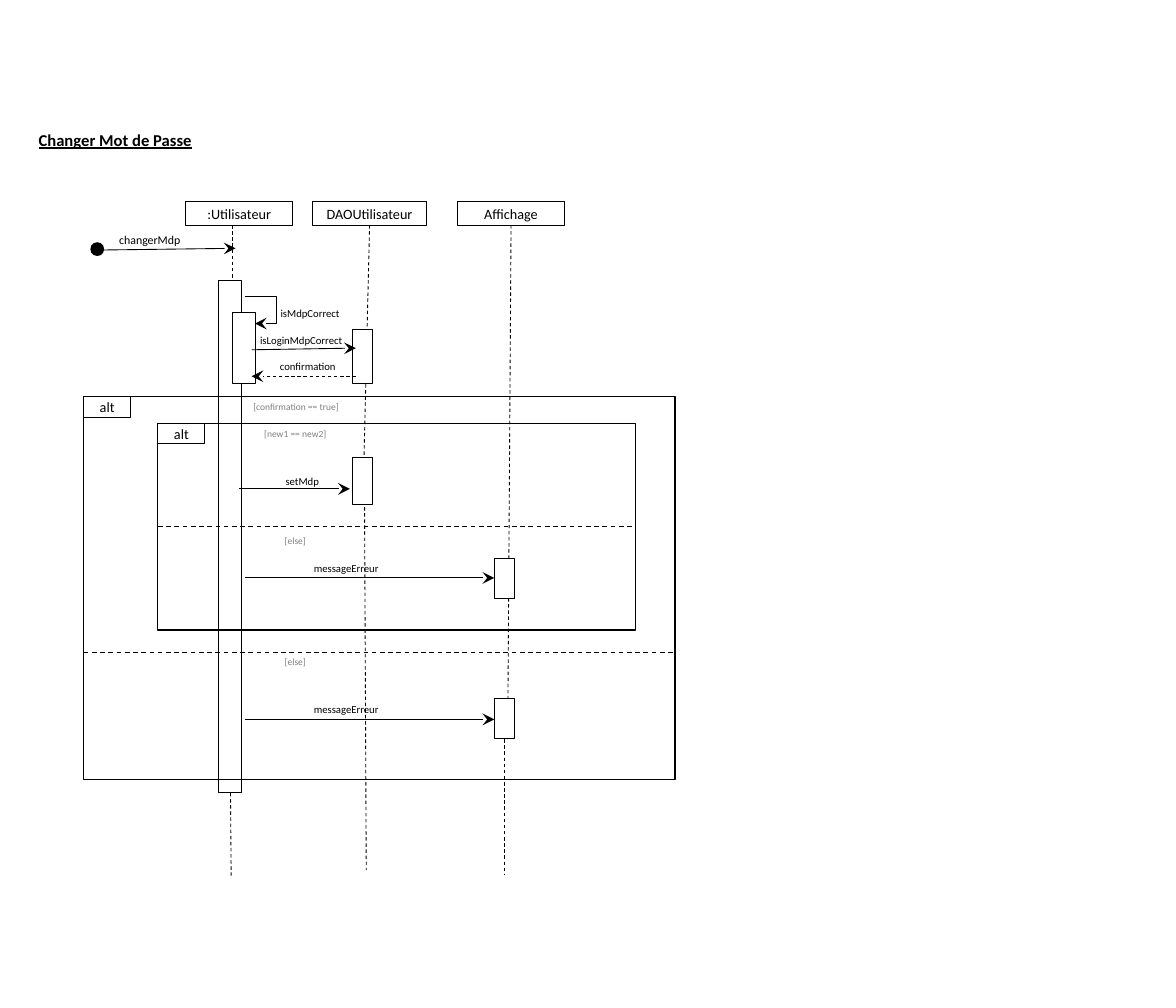
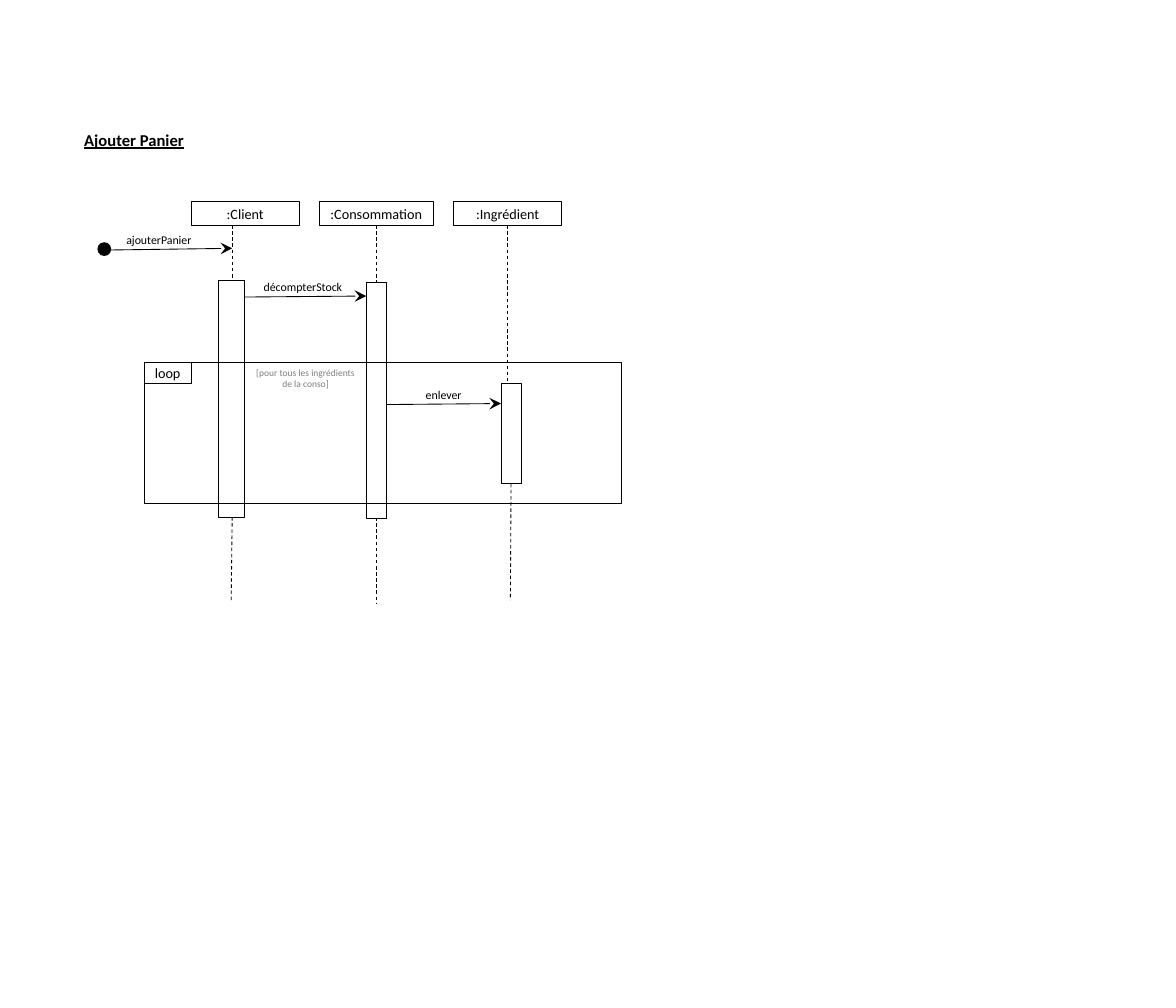
from lxml import etree
from pptx import Presentation
from pptx.dml.color import RGBColor
from pptx.enum.dml import MSO_LINE
from pptx.enum.shapes import MSO_CONNECTOR, MSO_SHAPE
from pptx.enum.text import MSO_ANCHOR, PP_ALIGN
from pptx.oxml.ns import qn
from pptx.util import Cm, Pt

RECTANGLE, OVAL = MSO_SHAPE.RECTANGLE, MSO_SHAPE.OVAL
STRAIGHT, ELBOW = MSO_CONNECTOR.STRAIGHT, MSO_CONNECTOR.ELBOW
LEFT, CENTER = PP_ALIGN.LEFT, PP_ALIGN.CENTER
TOP, MIDDLE = MSO_ANCHOR.TOP, MSO_ANCHOR.MIDDLE
BLACK, WHITE, GREY = (RGBColor.from_string(code) for code in ("000000", "FFFFFF", "7F7F7F"))

# Shared formats
FONT = "Calibri"
TITLE = {"size": Pt(14), "bold": True, "underline": True}
HEADER = {"size": Pt(12)}
GUARD = {"size": Pt(8)}
THIN, THICK = 0.75, 1
HEADER_TOP, HEADER_HEIGHT = 6, 0.7
TAB_WIDTH, TAB_HEIGHT = 1.4, 0.61
DOT_TOP, DOT_SIZE = 7.21, 0.41

# Diagram contents, lengths in centimetres
diagrams = [
    {
        "title": ("Changer Mot de Passe", 0.9, LEFT),
        "headers": [(":Utilisateur", 5.52, 3.2), ("DAOUtilisateur", 9.3, 3.4),
                    ("Affichage", 13.61, 3.2)],
        "lifelines": [(6.91, 6.7, 6.91, 23.2), (11, 6.7, 10.8, 15.01),
                      (15.21, 6.7, 15.11, 22), (10.85, 15.09, 10.9, 25.9),
                      (6.86, 23.6, 6.88, 26.06), (15.01, 22, 15.01, 26.04)],
        "activations": [(6.5, 8.36, 0.7, 15.24), (6.91, 9.3, 0.69, 2.11),
                        (10.49, 9.8, 0.6, 1.6), (10.49, 13.61, 0.6, 1.4),
                        (14.71, 16.61, 0.6, 1.19), (14.71, 20.8, 0.6, 1.19)],
        "frames": [("alt", 2.49, 11.81, 17.6, 11.4, 19.41),
                   ("alt", 4.7, 12.6, 14.22, 6.15, 15.67)],
        "guards": [("[confirmation == true]", 7.29, 11.81, 3.25, 0.61, LEFT),
                   ("[new1 == new2]", 7.29, 12.6, 3, 0.61, CENTER),
                   ("[else]", 7.29, 15.8, 3, 0.61, CENTER),
                   ("[else]", 7.29, 19.41, 3, 0.61, CENTER)],
        "dot": 2.69,
        "calls": [(3.1, 7.44, 7.01, 7.39), (7.49, 10.41, 10.59, 10.36),
                  (7.11, 14.55, 10.41, 14.55), (7.29, 17.2, 14.71, 17.2),
                  (7.29, 21.41, 14.71, 21.41)],
        "replies": [(10.59, 11.2, 7.49, 11.2)],
        "self_calls": [(7.29, 8.81, 7.59, 9.63, 8.23)],
        "labels": [("changerMdp", 3.3, 6.8, 2.45, 10, LEFT),
                   ("isMdpCorrect", 8.1, 9, 2.4, 9, LEFT),
                   ("isLoginMdpCorrect", 7.49, 9.8, 3.1, 9, LEFT),
                   ("confirmation", 8.08, 10.59, 2.3, 9, LEFT),
                   ("setMdp", 7.7, 14, 2.59, 9, CENTER),
                   ("messageErreur", 9.09, 16.61, 2.55, 9, LEFT),
                   ("messageErreur", 9.09, 20.8, 2.55, 9, LEFT)],
    },
    {
        "title": ("Ajouter Panier", 1.09, CENTER),
        "headers": [(":Client", 5.7, 3.2), (":Consommation", 9.5, 3.4),
                    (":Ingrédient", 13.51, 3.2)],
        "lifelines": [(6.91, 6.7, 6.91, 14.6), (11.2, 6.7, 11.2, 15.39),
                      (15.11, 6.7, 15.11, 12.19), (6.91, 15.39, 6.88, 17.93),
                      (11.2, 15.39, 11.2, 17.96), (15.21, 14.4, 15.19, 17.86)],
        "activations": [(6.5, 8.36, 0.79, 7.04), (10.9, 8.41, 0.6, 7.01),
                        (14.91, 11.4, 0.6, 3)],
        "frames": [("loop", 4.29, 10.8, 14.22, 4.19, None)],
        "guards": [("[pour tous les ingrédients de la conso]",
                    7.29, 10.8, 3.61, 0.94, CENTER)],
        "dot": 2.9,
        "calls": [(3.3, 7.44, 6.91, 7.39), (7.29, 8.84, 10.9, 8.81),
                  (11.51, 12.04, 14.91, 12.01)],
        "replies": [],
        "self_calls": [],
        "labels": [("ajouterPanier", 3.51, 6.8, 2.6, 10, LEFT),
                   ("décompterStock", 7.11, 8.2, 3.81, 10, CENTER),
                   ("enlever", 11.3, 11.4, 3.81, 10, CENTER)],
    },
]


def add_box(slide, place, kind=RECTANGLE, fill=None, width=THIN, text=None,
            style=HEADER, color=BLACK, align=CENTER, anchor=MIDDLE):
    """Add a preset shape, or a text box when kind is None."""
    place = [Cm(length) for length in place]
    if kind is None:
        shape = slide.shapes.add_textbox(*place)
    else:
        shape = slide.shapes.add_shape(kind, *place)
        shape.shadow.inherit = False
        if fill is None:
            shape.fill.background()
        else:
            shape.fill.solid()
            shape.fill.fore_color.rgb = fill
        if width:
            shape.line.color.rgb = BLACK
            shape.line.width = Pt(width)
        else:
            shape.line.fill.background()
    if text:
        frame = shape.text_frame
        frame.word_wrap = True
        frame.vertical_anchor = anchor
        paragraph = frame.paragraphs[0]
        paragraph.alignment = align
        run = paragraph.add_run()
        run.text = text
        run.font.name = FONT
        run.font.color.rgb = color
        for name, value in style.items():
            setattr(run.font, name, value)


def add_line(slide, ends, kind=STRAIGHT, width=THIN, dashed=False, arrow=False):
    connector = slide.shapes.add_connector(kind, *(Cm(length) for length in ends))
    connector.line.color.rgb = BLACK
    connector.line.width = Pt(width)
    if dashed:
        connector.line.dash_style = MSO_LINE.DASH
    properties = connector._element.spPr
    if arrow:
        etree.SubElement(properties.find(qn("a:ln")), qn("a:tailEnd"),
                         type="stealth", w="lg", len="lg")
    etree.SubElement(properties, qn("a:effectLst"))
    return connector


presentation = Presentation()
presentation.slide_width, presentation.slide_height = Cm(35), Cm(30)

for diagram in diagrams:
    slide = presentation.slides.add_slide(presentation.slide_layouts[6])

    # Title
    text, left, align = diagram["title"]
    add_box(slide, (left, 3.73, 5.8, 0.86), kind=None, text=text, style=TITLE,
            align=align, anchor=TOP)

    # Participants with their lifelines and activation bars
    for text, left, width in diagram["headers"]:
        add_box(slide, (left, HEADER_TOP, width, HEADER_HEIGHT), text=text)
    for ends in diagram["lifelines"]:
        add_line(slide, ends, dashed=True)
    for place in diagram["activations"]:
        add_box(slide, place, fill=WHITE)

    # Combined fragments: frame, operator tab, divider
    for operator, left, top, width, height, divider in diagram["frames"]:
        add_box(slide, (left, top, width, height), width=THICK)
        add_box(slide, (left, top, TAB_WIDTH, TAB_HEIGHT), text=operator)
        if divider:
            add_line(slide, (left, divider, left + width, divider),
                     width=THICK, dashed=True)
    for text, left, top, width, height, align in diagram["guards"]:
        add_box(slide, (left, top, width, height), kind=None, text=text,
                style=GUARD, color=GREY, align=align, anchor=TOP)

    # Messages
    add_box(slide, (diagram["dot"], DOT_TOP, DOT_SIZE, DOT_SIZE), kind=OVAL,
            fill=BLACK, width=None)
    for ends in diagram["calls"]:
        add_line(slide, ends, arrow=True)
    for ends in diagram["replies"]:
        add_line(slide, ends, dashed=True, arrow=True)
    for *ends, turn in diagram["self_calls"]:
        connector = add_line(slide, ends, kind=ELBOW, arrow=True)
        bend = round((turn - ends[0]) / (ends[2] - ends[0]) * 100000)
        geometry = connector._element.spPr.find(qn("a:prstGeom"))
        etree.SubElement(geometry.find(qn("a:avLst")), qn("a:gd"),
                         name="adj1", fmla=f"val {bend}")
    for text, left, top, width, size, align in diagram["labels"]:
        add_box(slide, (left, top, width, 0.65), kind=None, text=text,
                style={"size": Pt(size)}, align=align, anchor=TOP)

presentation.save("out.pptx")
